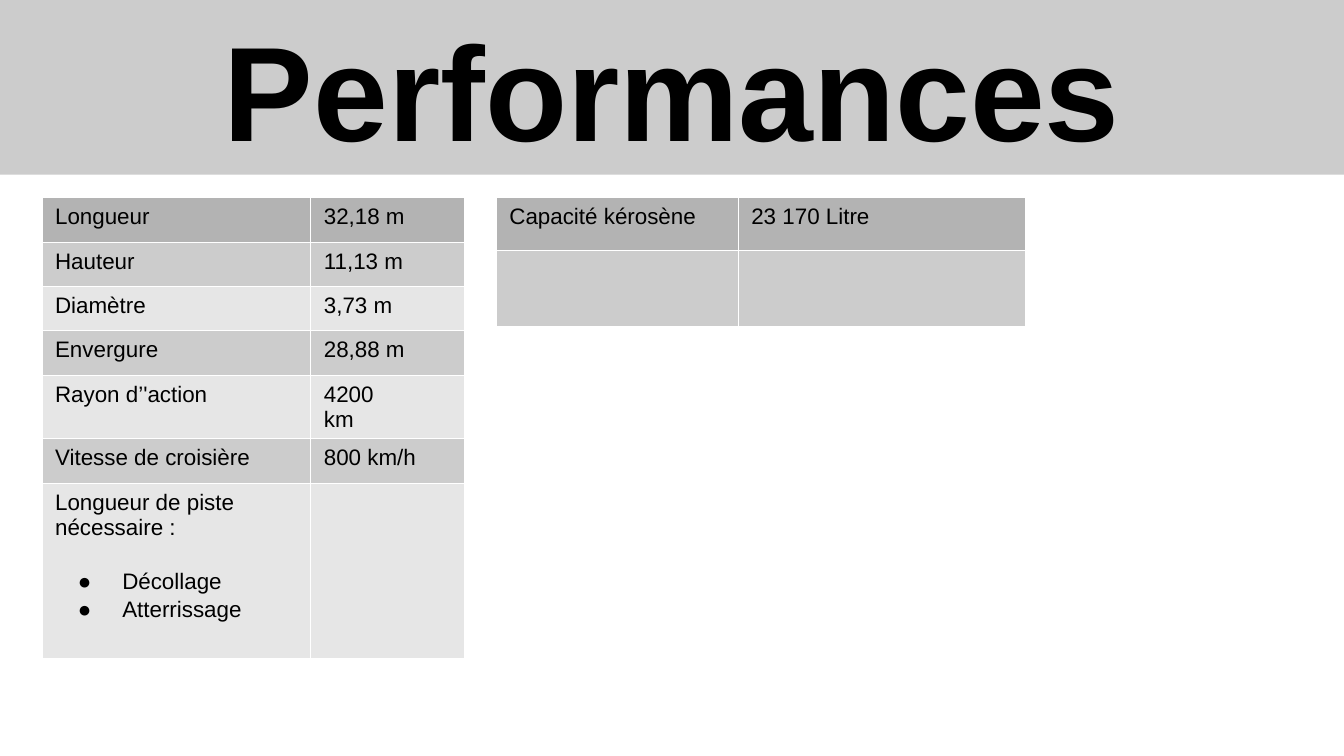
from dataclasses import dataclass

from lxml import etree
from pptx import Presentation
from pptx.dml.color import RGBColor
from pptx.enum.shapes import MSO_SHAPE
from pptx.enum.text import MSO_ANCHOR, MSO_AUTO_SIZE, PP_ALIGN
from pptx.oxml.ns import qn
from pptx.util import Inches, Pt

RECTANGLE = MSO_SHAPE.RECTANGLE
MIDDLE = MSO_ANCHOR.MIDDLE
NO_FIT = MSO_AUTO_SIZE.NONE
CENTER = PP_ALIGN.CENTER


@dataclass(frozen=True)
class Theme:
    """Colours, font and type sizes of the slide."""
    font: str = "Arial"
    ink: str = "000000"
    band: str = "CCCCCC"
    header: str = "B3B3B3"
    stripes: tuple = ("E6E6E6", "CCCCCC")
    rule: str = "FFFFFF"
    rule_width: float = 0.06
    title_size: int = 72
    body_size: int = 12


THEME = Theme()
SLIDE_WIDTH = 10
SLIDE_HEIGHT = SLIDE_WIDTH * 9 / 16
TABLE_TOP = 1.47

DIMENSIONS = [
    (["Longueur"], ["32,18 m"]),
    (["Hauteur"], ["11,13 m"]),
    (["Diamètre"], ["3,73 m"]),
    (["Envergure"], ["28,88 m"]),
    (["Rayon d’'action"], ["4200\vkm"]),
    (["Vitesse de croisière"], ["800 km/h"]),
    (["Longueur de piste nécessaire :", "Décollage", "Atterrissage"], [""]),
]
CAPACITY = [(["Capacité kérosène"], ["23 170 Litre"]), ([""], [""])]


def set_font(font, size, bold=False):
    """Apply the theme's typeface and ink to a font."""
    formats = {"name": THEME.font, "size": Pt(size), "bold": bold}
    for attribute, value in formats.items():
        setattr(font, attribute, value)
    font.color.rgb = RGBColor.from_string(THEME.ink)


def add_title_band(slide, left, top, width, height):
    """Place the grey band and the title centred on it."""
    box = [Inches(length) for length in (left, top, width, height)]
    band = slide.shapes.add_shape(RECTANGLE, *box)
    band.shadow.inherit = False
    band.fill.solid()
    band.fill.fore_color.rgb = RGBColor.from_string(THEME.band)
    band.line.fill.background()

    title = slide.shapes.title
    title.element.addprevious(band.element)
    title.left, title.top, title.width, title.height = box
    frame = title.text_frame
    frame.text = "Performances"
    formats = {"vertical_anchor": MIDDLE, "auto_size": NO_FIT, "word_wrap": True}
    for side in ("left", "top", "right", "bottom"):
        formats[f"margin_{side}"] = Inches(0.1)
    for attribute, value in formats.items():
        setattr(frame, attribute, value)
    heading = frame.paragraphs[0]
    heading.alignment = CENTER
    set_font(heading.runs[0].font, THEME.title_size, bold=True)


def set_bullet(paragraph):
    """Turn a paragraph into an indented round-bullet item."""
    paragraph.line_spacing = 1.15
    properties = paragraph._p.get_or_add_pPr()
    properties.set("marL", str(Inches(0.5)))
    properties.set("indent", str(Inches(-0.33)))
    colour = etree.SubElement(properties, qn("a:buClr"))
    etree.SubElement(colour, qn("a:srgbClr"), val=THEME.ink)
    etree.SubElement(properties, qn("a:buSzPts"), val=str(THEME.body_size * 100))
    etree.SubElement(properties, qn("a:buFont"), typeface=THEME.font)
    etree.SubElement(properties, qn("a:buChar"), char="●")


def set_borders(cell):
    """Draw the thin rule on all four sides of a cell."""
    properties = cell._tc.get_or_add_tcPr()
    for position, side in enumerate(("lnL", "lnR", "lnT", "lnB")):
        line = etree.Element(qn(f"a:{side}"), w=str(Pt(THEME.rule_width)))
        fill = etree.SubElement(line, qn("a:solidFill"))
        etree.SubElement(fill, qn("a:srgbClr"), val=THEME.rule)
        properties.insert(position, line)


def fill_cell(cell, lines, colour):
    """Write a lead line and its bullet items into a coloured cell."""
    cell.fill.solid()
    cell.fill.fore_color.rgb = RGBColor.from_string(colour)
    set_borders(cell)
    cell.text = "\n".join(lines)
    for position, paragraph in enumerate(cell.text_frame.paragraphs):
        set_font(paragraph.font, THEME.body_size)
        for run in paragraph.runs:
            set_font(run.font, THEME.body_size)
        if position == 1:
            paragraph.space_before = Pt(13.5)
        if position:
            set_bullet(paragraph)


def add_data_table(slide, left, top, widths, heights, rows):
    """Place a striped table with a darker first row."""
    box = (left, top, sum(widths), sum(heights))
    table = slide.shapes.add_table(
        len(heights), len(widths), *[Inches(length) for length in box]
    ).table
    table.first_row = table.horz_banding = False
    for column, width in zip(table.columns, widths):
        column.width = Inches(width)
    for index, (row, height, entries) in enumerate(zip(table.rows, heights, rows)):
        row.height = Inches(height)
        colour = THEME.stripes[index % 2] if index else THEME.header
        for cell, lines in zip(row.cells, entries):
            fill_cell(cell, lines, colour)


def main():
    """Build and save the performance slide."""
    presentation = Presentation()
    presentation.slide_width = Inches(SLIDE_WIDTH)
    presentation.slide_height = Inches(SLIDE_HEIGHT)
    slide = presentation.slides.add_slide(
        presentation.slide_layouts.get_by_name("Title Only")
    )
    add_title_band(slide, 0, 0, SLIDE_WIDTH, 1.3)
    add_data_table(slide, 0.31, TABLE_TOP, [2, 1.14], [0.33] * 6 + [1.3], DIMENSIONS)
    add_data_table(slide, 3.69, TABLE_TOP, [1.8, 2.14], [0.39, 0.57], CAPACITY)
    presentation.save("out.pptx")


if __name__ == "__main__":
    main()
